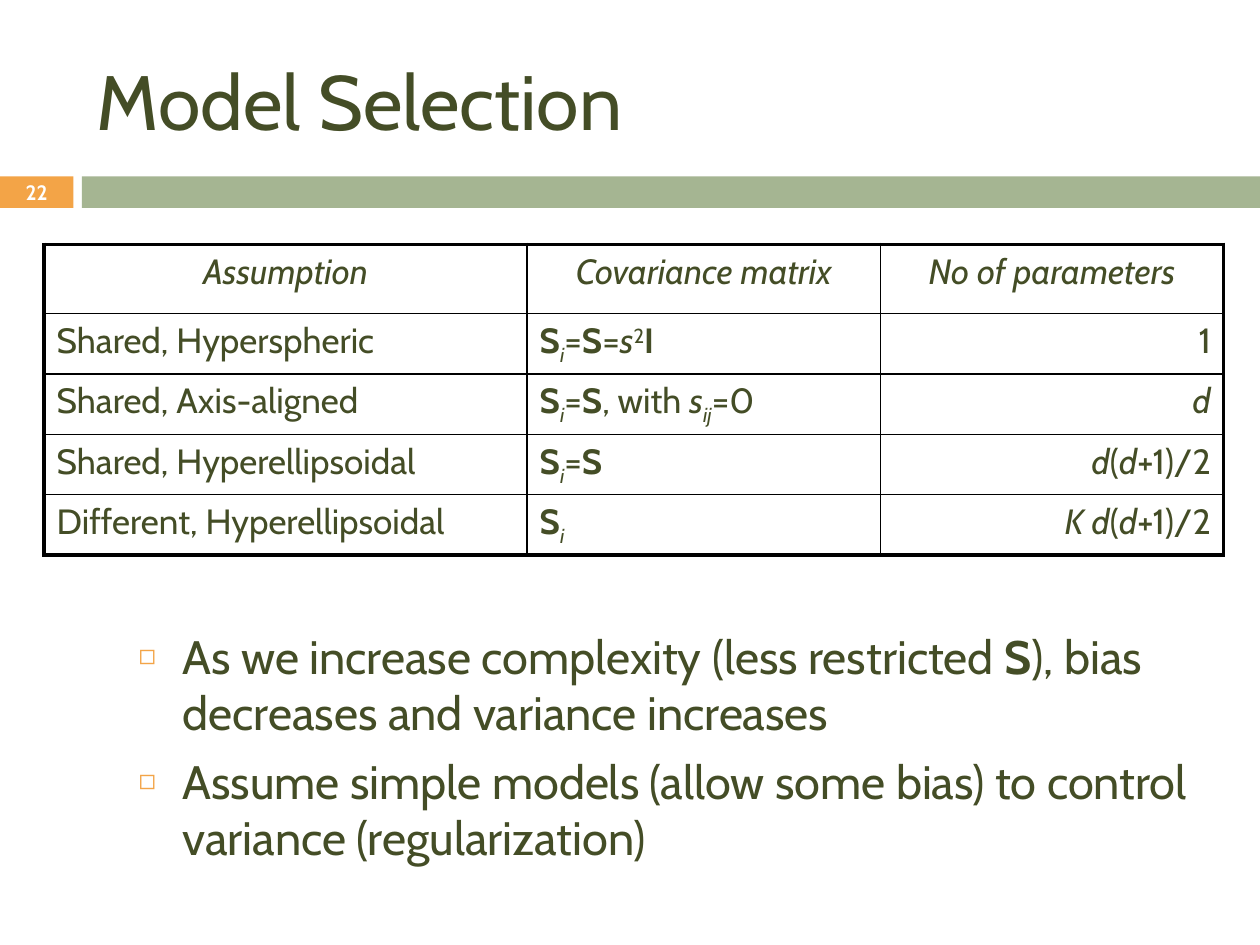
from lxml import etree
from pptx import Presentation
from pptx.dml.color import RGBColor
from pptx.enum.shapes import MSO_SHAPE
from pptx.enum.text import MSO_ANCHOR, MSO_AUTO_SIZE, PP_ALIGN
from pptx.oxml.ns import qn
from pptx.util import Pt

RECT = MSO_SHAPE.RECTANGLE
MIDDLE = MSO_ANCHOR.MIDDLE
NO_FIT = MSO_AUTO_SIZE.NONE
LEFT, CENTER, RIGHT = PP_ALIGN.LEFT, PP_ALIGN.CENTER, PP_ALIGN.RIGHT

FONT = "Cabin"
INK, ORANGE, SAGE, WHITE, BLACK = "444D26", "F3A447", "A5B592", "FFFFFF", "000000"

SIGMA = [("S", "b"), ("i", "i_")]
SHARED = SIGMA + [("=", ""), ("S", "b")]
PAIRS = [("(", ""), ("d", "i"), ("+1)/2", "")]
HEADER = ["Assumption", "Covariance matrix", "No of parameters"]
MODELS = [
    ("Shared, Hyperspheric",
     SHARED + [("=", ""), ("s", "i"), ("2", "^"), ("I", "b")], [("1", "")]),
    ("Shared, Axis-aligned",
     SHARED + [(", with ", ""), ("s", "i"), ("ij", "i_"), ("=0", "")], [("d", "i")]),
    ("Shared, Hyperellipsoidal", SHARED, [("d", "i")] + PAIRS),
    ("Different, Hyperellipsoidal", SIGMA, [("K d", "i")] + PAIRS),
]
POINTS = [
    [("As we increase complexity (less restricted ", ""), ("S", "b"),
     ("), bias decreases and variance increases", "")],
    [("Assume simple models (allow some bias) to control variance (regularization)", "")],
]


def rgb(color):
    return RGBColor.from_string(color)


def add_text(p, runs, size=20, color=INK, align=LEFT):
    p.alignment = align
    for text, style in runs:
        r = p.add_run()
        r.text = text
        r.font.name = FONT
        r.font.size = Pt(size)
        r.font.color.rgb = rgb(color)
        r.font.bold = "b" in style
        r.font.italic = "i" in style
        if "_" in style:
            r.font._element.set("baseline", "-25000")
        if "^" in style:
            r.font._element.set("baseline", "30000")


def place(sp, left, top, width, height):
    sp.left, sp.top, sp.width, sp.height = Pt(left), Pt(top), Pt(width), Pt(height)


def add_title(slide, left, top, width, height):
    sp = slide.shapes.title
    place(sp, left, top, width, height)
    tf = sp.text_frame
    tf.auto_size = NO_FIT
    tf.vertical_anchor = MIDDLE
    add_text(tf.paragraphs[0], [("Model Selection", "")], size=44)


def add_band(slide, left, top, width, height):
    tab, gap = 42, 4.8
    for x, w, color in [(left, tab, ORANGE), (left + tab + gap, width - tab - gap, SAGE)]:
        sp = slide.shapes.add_shape(RECT, Pt(x), Pt(top), Pt(w), Pt(height))
        sp.shadow.inherit = False
        sp.fill.solid()
        sp.fill.fore_color.rgb = rgb(color)
        sp.line.fill.background()
    sp = slide.shapes.add_textbox(Pt(left), Pt(top), Pt(tab), Pt(height))
    tf = sp.text_frame
    tf.word_wrap = True
    tf.vertical_anchor = MIDDLE
    tf.margin_top = tf.margin_bottom = 0
    add_text(tf.paragraphs[0], [("22", "b")], size=11.9, color=WHITE, align=CENTER)


def set_borders(cell, widths):
    tcPr = cell._tc.get_or_add_tcPr()
    for i, (side, width) in enumerate(zip("LRTB", widths)):
        ln = etree.Element(qn(f"a:ln{side}"), w=str(Pt(width)))
        fill = etree.SubElement(ln, qn("a:solidFill"))
        etree.SubElement(fill, qn("a:srgbClr"), val=BLACK)
        tcPr.insert(i, ln)


def add_model_table(slide, left, top, width, height):
    rows = [[[(text, "i")] for text in HEADER]]
    rows += [[[(name, "")], matrix, count] for name, matrix, count in MODELS]
    last_row, last_col = len(rows) - 1, len(HEADER) - 1
    table = slide.shapes.add_table(
        len(rows), len(HEADER), Pt(left), Pt(top), Pt(width), Pt(height)).table
    table.first_row = table.horz_banding = False
    for col, share in zip(table.columns, (0.41, 0.3, 0.29)):
        col.width = Pt(round(width * share))
    table.columns[0].width = Pt(276)
    header_height = 39.5
    for i, runs_in_row in enumerate(rows):
        table.rows[i].height = Pt((height - header_height) / last_row if i else header_height)
        for j, runs in enumerate(runs_in_row):
            cell = table.cell(i, j)
            cell.fill.background()
            edges = (j == 0, j == last_col, i == 0, i == last_row)
            set_borders(cell, [2.25 if outer else 1 for outer in edges])
            align = (LEFT, LEFT, RIGHT)[j] if i else CENTER
            add_text(cell.text_frame.paragraphs[0], runs, align=align)


def add_bullet(p, indent):
    pPr = p._p.get_or_add_pPr()
    pPr.set("marL", str(Pt(indent)))
    pPr.set("indent", str(-Pt(indent)))
    color = etree.SubElement(pPr, qn("a:buClr"))
    etree.SubElement(color, qn("a:srgbClr"), val=ORANGE)
    etree.SubElement(pPr, qn("a:buSzPct"), val="60000")
    etree.SubElement(pPr, qn("a:buChar"), char="\u25fb")


def add_points(slide, left, top, width, height):
    sp = slide.placeholders[1]
    place(sp, left, top, width, height)
    tf = sp.text_frame
    tf.auto_size = NO_FIT
    for i, runs in enumerate(POINTS):
        p = tf.add_paragraph() if i else tf.paragraphs[0]
        p.space_before = Pt(7)
        add_bullet(p, 25.2)
        add_text(p, runs, size=26.8)


prs = Presentation()
prs.slide_width, prs.slide_height = Pt(720), Pt(540)
slide = prs.slides.add_slide(prs.slide_layouts[1])
add_band(slide, 0, 100.8, 720, 18)
add_title(slide, 48, 18, 642, 78)
add_model_table(slide, 25.2, 139.6, 675, 177)
add_points(slide, 72, 355, 648, 109)
prs.save("out.pptx")
